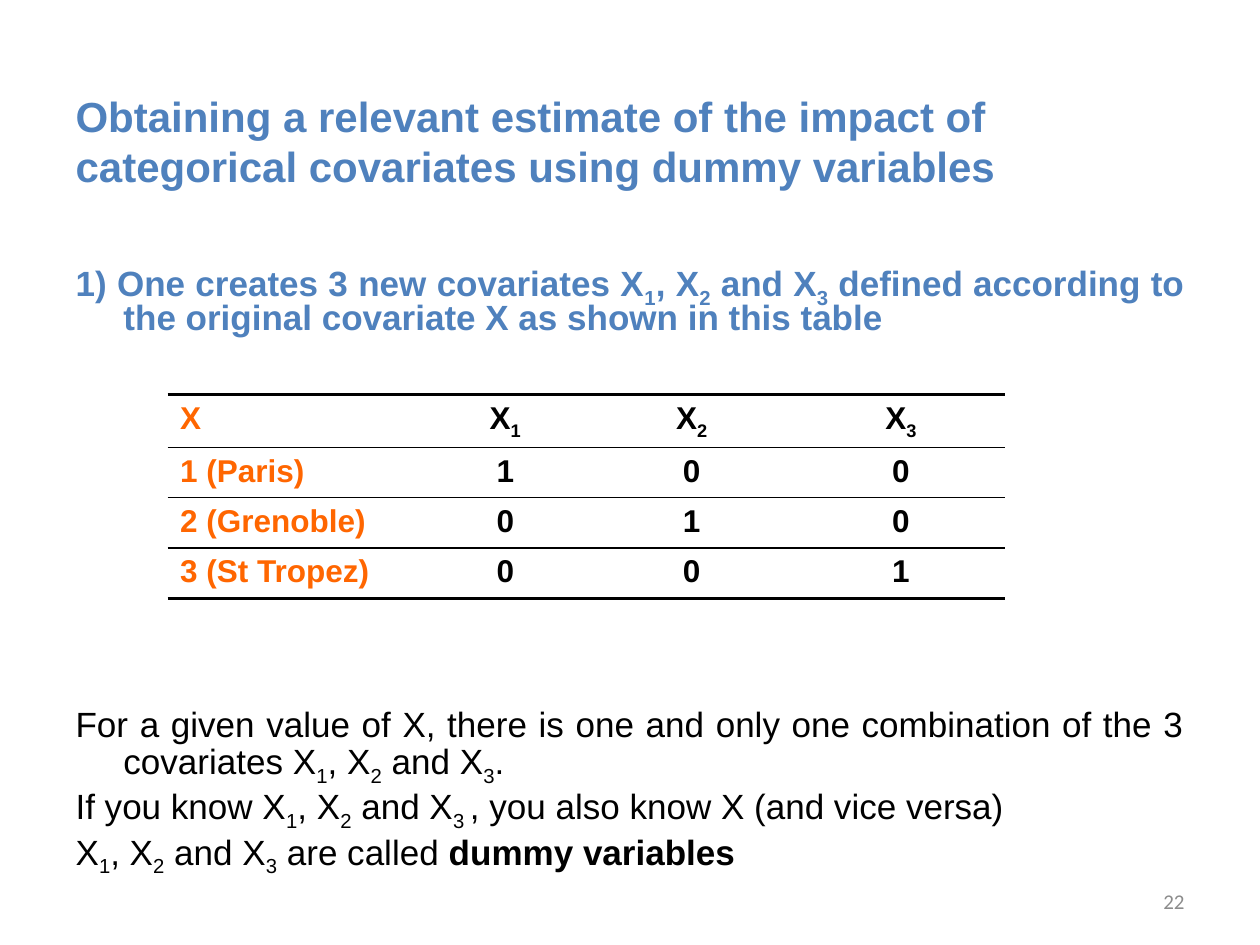
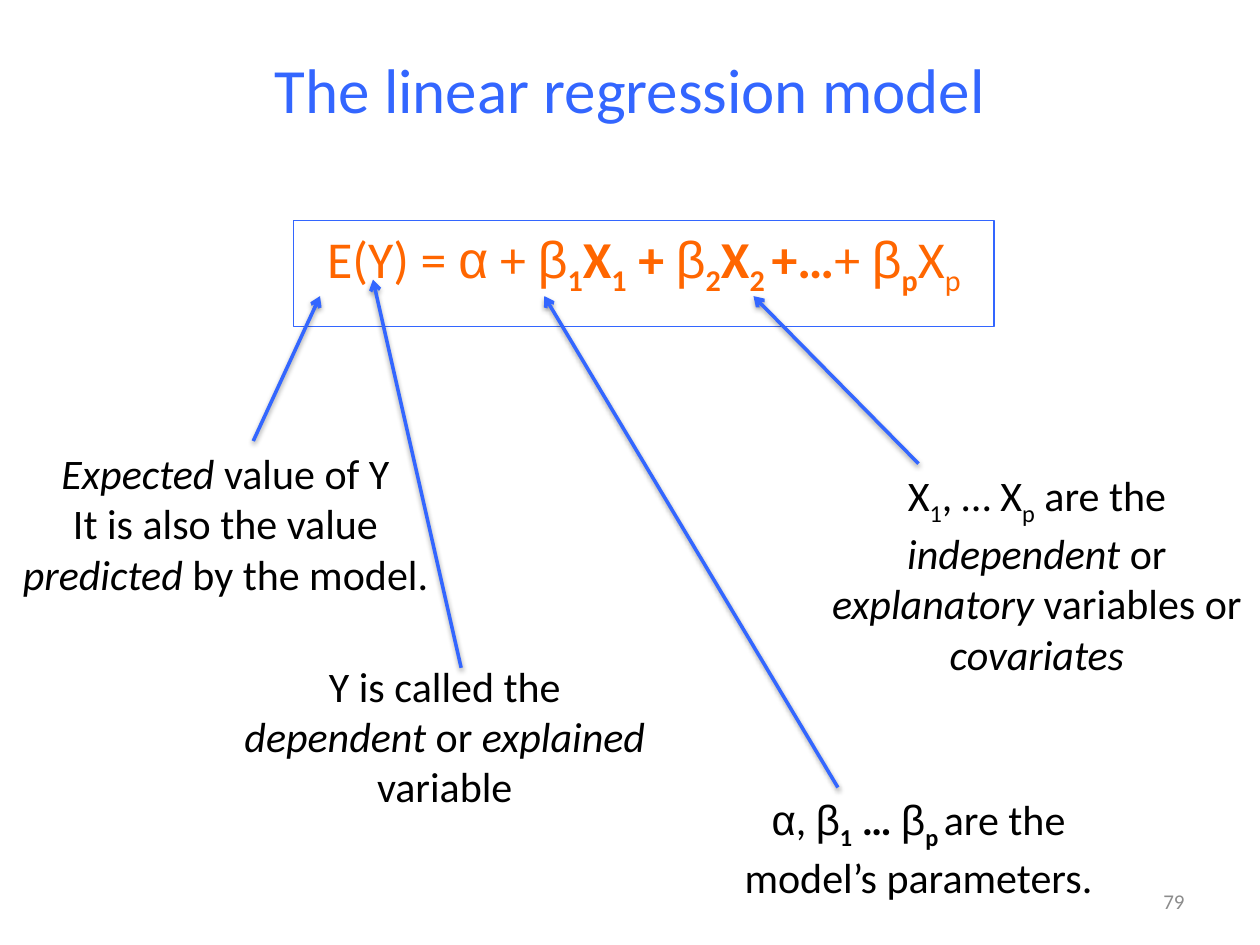
import pptx
import pptx.dml.color
import pptx.enum.shapes
import pptx.enum.text
import pptx.oxml
import pptx.oxml.ns
import pptx.util

Inches = pptx.util.Inches
Pt = pptx.util.Pt
RGBColor = pptx.dml.color.RGBColor
PP_ALIGN = pptx.enum.text.PP_ALIGN
MSO_ANCHOR = pptx.enum.text.MSO_ANCHOR

STEEL = RGBColor(0x4F, 0x81, 0xBD)
BLUE = RGBColor(0x33, 0x66, 0xFF)
ORANGE = RGBColor(0xFF, 0x66, 0x00)
BLACK = RGBColor(0x00, 0x00, 0x00)
GREY = RGBColor(0x8C, 0x8C, 0x8C)
XMLNS = pptx.oxml.ns.nsdecls("a")


def write(paragraph, text, size=24, font="Calibri", color=BLACK, bold=False,
          align=PP_ALIGN.CENTER, before=0, spacing=1.0, hanging=0):
    """Add the runs of text, parted by |; leading marks style a run:
    _ subscript, * bold, / italic, @ Arial."""
    paragraph.alignment = align
    paragraph.space_before = Pt(before)
    paragraph.line_spacing = spacing
    properties = paragraph._p.get_or_add_pPr()
    properties.set("marL", str(Inches(hanging)))
    properties.set("indent", str(-Inches(hanging)))
    properties.append(pptx.oxml.parse_xml(f"<a:buNone {XMLNS}/>"))
    for part in text.split("|"):
        words = part.lstrip("_*/@")
        marks = part[:len(part) - len(words)]
        run = paragraph.add_run()
        run.text = words
        run.font.size = Pt(size)
        run.font.name = "Arial" if "@" in marks else font
        run.font.color.rgb = color
        run.font.bold = bold or "*" in marks
        run.font.italic = "/" in marks
        if "_" in marks:
            run._r.get_or_add_rPr().set("baseline", "-25000")


def place(shape, left, top, width, height, anchor=MSO_ANCHOR.TOP):
    """Position a text shape and return its wrapped frame."""
    shape.left, shape.top = Inches(left), Inches(top)
    shape.width, shape.height = Inches(width), Inches(height)
    frame = shape.text_frame
    frame.word_wrap = True
    frame.auto_size = pptx.enum.text.MSO_AUTO_SIZE.NONE
    frame.vertical_anchor = anchor
    return frame


deck = pptx.Presentation()
deck.slide_width, deck.slide_height = Inches(10), Inches(7.5)
dummies, model = [deck.slides.add_slide(deck.slide_layouts[1]) for _ in range(2)]
for slide, number in ((dummies, "22"), (model, "79")):
    footer = place(slide.shapes.add_textbox(0, 0, 0, 0), 7.17, 6.95, 2.33, 0.4,
                   MSO_ANCHOR.MIDDLE)
    write(footer.paragraphs[0], number, size=12, color=GREY, align=PP_ALIGN.RIGHT)

# Dummy variables
heading = place(dummies.shapes.title, 0.5, 0.63, 9, 0.97, MSO_ANCHOR.MIDDLE)
write(heading.paragraphs[0],
      "Obtaining a relevant estimate of the impact of categorical covariates "
      "using dummy variables",
      font="Arial", color=STEEL, bold=True, align=PP_ALIGN.LEFT)

steps = place(dummies.placeholders[1], 0.5, 1.62, 9, 5.88)
steps.margin_top = Inches(0.49)
XS = "X|_1|, X|_2| and X|_3"
# The large space before the second statement leaves room for the table.
statements = [
    (f"1) One creates 3 new covariates {XS}| defined according to the original "
     "covariate X as shown in this table", STEEL, True, 0),
    ("For a given value of X, there is one and only one combination of the 3 "
     f"covariates {XS}|.", BLACK, False, 213),
    (f"If you know {XS} |, you also know X (and vice versa)", BLACK, False, 4),
    (f"{XS}| are called |*dummy variables", BLACK, False, 4),
]
for index, (text, color, bold, before) in enumerate(statements):
    paragraph = steps.add_paragraph() if index else steps.paragraphs[0]
    write(paragraph, text, size=20, font="Arial", color=color, bold=bold,
          align=PP_ALIGN.JUSTIFY, before=before, spacing=0.8, hanging=0.38)

coding = [
    ("X", "X|_1", "X|_2", "X|_3"),
    ("1 (Paris)", "1", "0", "0"),
    ("2 (Grenoble)", "0", "1", "0"),
    ("3 (St Tropez)", "0", "0", "1"),
]
rule_widths = [2.25, 1, 1, 1, 2.25]
table = dummies.shapes.add_table(4, 4, Inches(1.33), Inches(3.13),
                                 Inches(6.65), Inches(1.6)).table
table.first_row = table.horz_banding = False
for column, width in zip(table.columns, (2.03, 1.3, 1.66, 1.66)):
    column.width = Inches(width)
for r, row in enumerate(coding):
    for c, text in enumerate(row):
        cell = table.cell(r, c)
        borders = cell._tc.get_or_add_tcPr()
        for side in ("lnL", "lnR"):
            borders.append(pptx.oxml.parse_xml(
                f"<a:{side} {XMLNS}><a:noFill/></a:{side}>"))
        for side, width in (("lnT", rule_widths[r]), ("lnB", rule_widths[r + 1])):
            borders.append(pptx.oxml.parse_xml(
                f'<a:{side} {XMLNS} w="{Pt(width)}"><a:solidFill>'
                f'<a:srgbClr val="{BLACK}"/></a:solidFill></a:{side}>'))
        cell.fill.background()
        write(cell.text_frame.paragraphs[0], text, size=18, font="Arial", bold=True,
              color=BLACK if c else ORANGE,
              align=PP_ALIGN.CENTER if c else PP_ALIGN.LEFT)

# Linear regression model
heading = place(model.shapes.title, 0.5, 0.3, 9, 0.8, MSO_ANCHOR.MIDDLE)
write(heading.paragraphs[0], "The linear regression model", size=36, color=BLUE)

equation_box = model.placeholders[1]
equation = place(equation_box, 2.33, 1.75, 5.56, 0.84)
equation_box.line.color.rgb = BLUE
equation_box.line.width = Pt(0.75)
write(equation.paragraphs[0],
      "E(Y) = |@α| + |@β|*_1|*X|*_1|* + |@β|*_2|*X|*_2 |*+…|+ |@β|*_p|X|_p",
      size=29.6, color=ORANGE)

# Each explanation: left, top, height, paragraphs, arrow start, arrow end
explanations = [
    (0.02, 3.5, 1.31,
     ["/Expected| value of Y", "It is also the value |/predicted| by the model."],
     (2.01, 3.5), (2.54, 2.35)),
    (1.76, 5.19, 1.31,
     ["Y is called the |/dependent| or |/explained| variable"],
     (3.66, 5.3), (2.96, 2.22)),
    (6.46, 3.68, 1.72,
     ["X|_1|, … X|_p| are the |/independent| or |/explanatory| variables or "
      "|/covariates"],
     (7.29, 3.68), (5.98, 2.35)),
    (5.52, 6.25, 0.91,
     ["@α|, |@β|*_1|* … |@β|*_p |are the model’s parameters."],
     (6.65, 6.25), (4.32, 2.35)),
]
for left, top, height, texts, start, end in explanations:
    frame = place(model.shapes.add_textbox(0, 0, 0, 0), left, top, 3.54, height)
    for index, text in enumerate(texts):
        write(frame.add_paragraph() if index else frame.paragraphs[0], text)
    arrow = model.shapes.add_connector(
        pptx.enum.shapes.MSO_CONNECTOR.STRAIGHT,
        *(Inches(value) for value in start + end))
    arrow.line.color.rgb = BLUE
    arrow.line.width = Pt(2)
    arrow.line._get_or_add_ln().append(
        pptx.oxml.parse_xml(f'<a:tailEnd {XMLNS} type="arrow"/>'))
    arrow._element.spPr.append(pptx.oxml.parse_xml(
        f'<a:effectLst {XMLNS}><a:outerShdw blurRad="{Pt(3.1)}" dist="{Pt(1.6)}" '
        f'dir="5400000" rotWithShape="0"><a:srgbClr val="{BLACK}">'
        '<a:alpha val="38000"/></a:srgbClr></a:outerShdw></a:effectLst>'))

deck.save("out.pptx")
